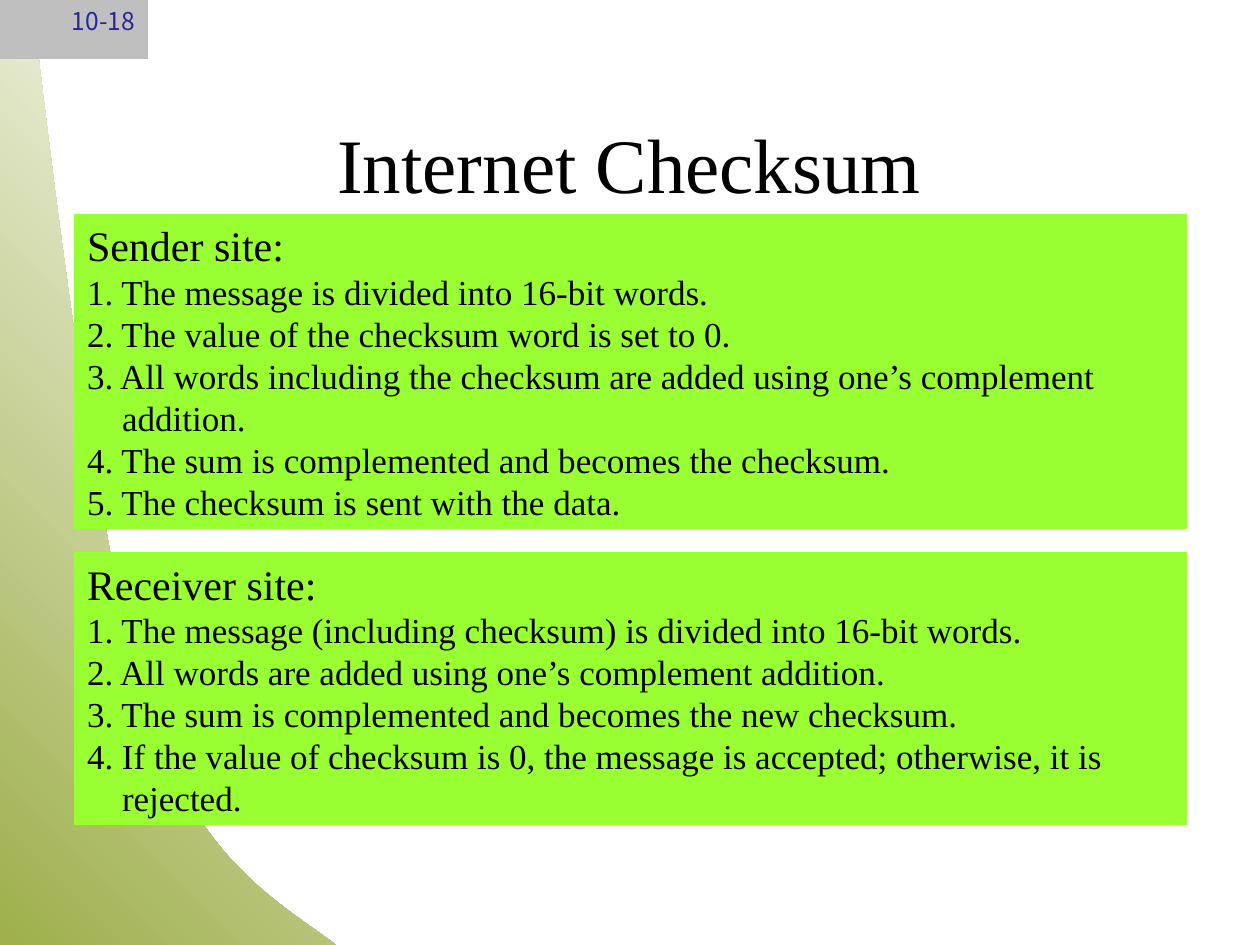
from pptx import Presentation
from pptx.dml.color import RGBColor
from pptx.enum.shapes import MSO_SHAPE
from pptx.enum.text import MSO_ANCHOR, PP_ALIGN
from pptx.util import Pt

EMU_PER_PX = 914400 / 126
SERIF = "Times New Roman"

PANELS = [
    ((74, 214, 1113, 315), "Sender site:", [
        "The message is divided into 16-bit words.",
        "The value of the checksum word is set to 0.",
        "All words including the checksum are added using one’s complement addition.",
        "The sum is complemented and becomes the checksum.",
        "The checksum is sent with the data.",
    ]),
    ((74, 552, 1113, 273), "Receiver site:", [
        "The message (including checksum) is divided into 16-bit words.",
        "All words are added using one’s complement addition.",
        "The sum is complemented and becomes the new checksum.",
        "If the value of checksum is 0, the message is accepted; otherwise, it is rejected.",
    ]),
]


def px(length):
    return round(length * EMU_PER_PX)


def color(hex_value):
    return RGBColor.from_string(hex_value)


def bezier(start, control_1, control_2, end, steps=24):
    """Points along a cubic curve, without its start."""
    points = []
    for step in range(1, steps + 1):
        t = step / steps
        weights = ((1 - t) ** 3, 3 * t * (1 - t) ** 2, 3 * t * t * (1 - t), t ** 3)
        corners = (start, control_1, control_2, end)
        points.append(tuple(
            sum(weight * corner[axis] for weight, corner in zip(weights, corners))
            for axis in (0, 1)))
    return points


def set_text(paragraph, text, size, font=SERIF, hex_value="000000",
             alignment=PP_ALIGN.LEFT):
    paragraph.text = text
    paragraph.alignment = alignment
    for name, value in {"name": font, "size": Pt(size)}.items():
        setattr(paragraph.font, name, value)
    paragraph.font.color.rgb = color(hex_value)


def set_frame(text_frame, anchor):
    values = {"word_wrap": True, "vertical_anchor": anchor,
              "margin_left": px(13), "margin_right": px(13),
              "margin_top": px(6), "margin_bottom": px(6)}
    for name, value in values.items():
        setattr(text_frame, name, value)


def add_rectangle(slide, box, fill):
    shape = slide.shapes.add_shape(MSO_SHAPE.RECTANGLE, *map(px, box))
    shape.shadow.inherit = False
    shape.fill.solid()
    shape.fill.fore_color.rgb = color(fill)
    shape.line.fill.background()
    set_frame(shape.text_frame, MSO_ANCHOR.TOP)
    return shape


def add_sweep(slide, box):
    left, top, width, height = box
    middle = (146, 706)
    outline = [(0, height), (width, height)]
    outline += bezier((width, height), (281, 903), (198, 863), middle)
    outline += bezier(middle, (96, 548), (45, 116), (32, 0))
    builder = slide.shapes.build_freeform(0, 0, scale=EMU_PER_PX / 100)
    builder.add_line_segments(
        [(round(x * 100), round(y * 100)) for x, y in outline], close=True)
    shape = builder.convert_to_shape(px(left), px(top))
    shape.shadow.inherit = False
    shape.line.fill.background()
    shape.fill.gradient()
    shape.fill.gradient_angle = 45
    for stop, hex_value in zip(shape.fill.gradient_stops, ("9EAF4B", "FFFFFF")):
        stop.color.rgb = color(hex_value)


def add_title(slide, box, text):
    text_frame = slide.shapes.add_textbox(*map(px, box)).text_frame
    set_frame(text_frame, MSO_ANCHOR.MIDDLE)
    set_text(text_frame.paragraphs[0], text, 44, alignment=PP_ALIGN.CENTER)


def add_panel(slide, box, heading, steps):
    text_frame = add_rectangle(slide, box, "99FF33").text_frame
    set_text(text_frame.paragraphs[0], heading, 24)
    for number, step in enumerate(steps, 1):
        paragraph = text_frame.add_paragraph()
        set_text(paragraph, f"{number}. {step}", 20)
        # Hanging indent as wide as the number
        properties = paragraph._p.get_or_add_pPr()
        properties.set("marL", str(px(35)))
        properties.set("indent", str(-px(35)))


def add_page_number(slide, box, text):
    shape = add_rectangle(slide, box, "BFBFBF")
    set_text(shape.text_frame.paragraphs[0], text, 14, "Noto Sans CJK KR",
             "262699", PP_ALIGN.RIGHT)


def main():
    presentation = Presentation()
    presentation.slide_width = px(1260)
    presentation.slide_height = px(945)
    slide = presentation.slides.add_slide(presentation.slide_layouts[6])

    # Background and title
    add_sweep(slide, (0, 0, 336, 945))
    add_title(slide, (94, 84, 1071, 158), "Internet Checksum")

    # Procedure for each site
    for box, heading, steps in PANELS:
        add_panel(slide, box, heading, steps)

    # Page number
    add_page_number(slide, (0, 0, 148, 59), "10-18")
    presentation.save("out.pptx")


if __name__ == "__main__":
    main()
